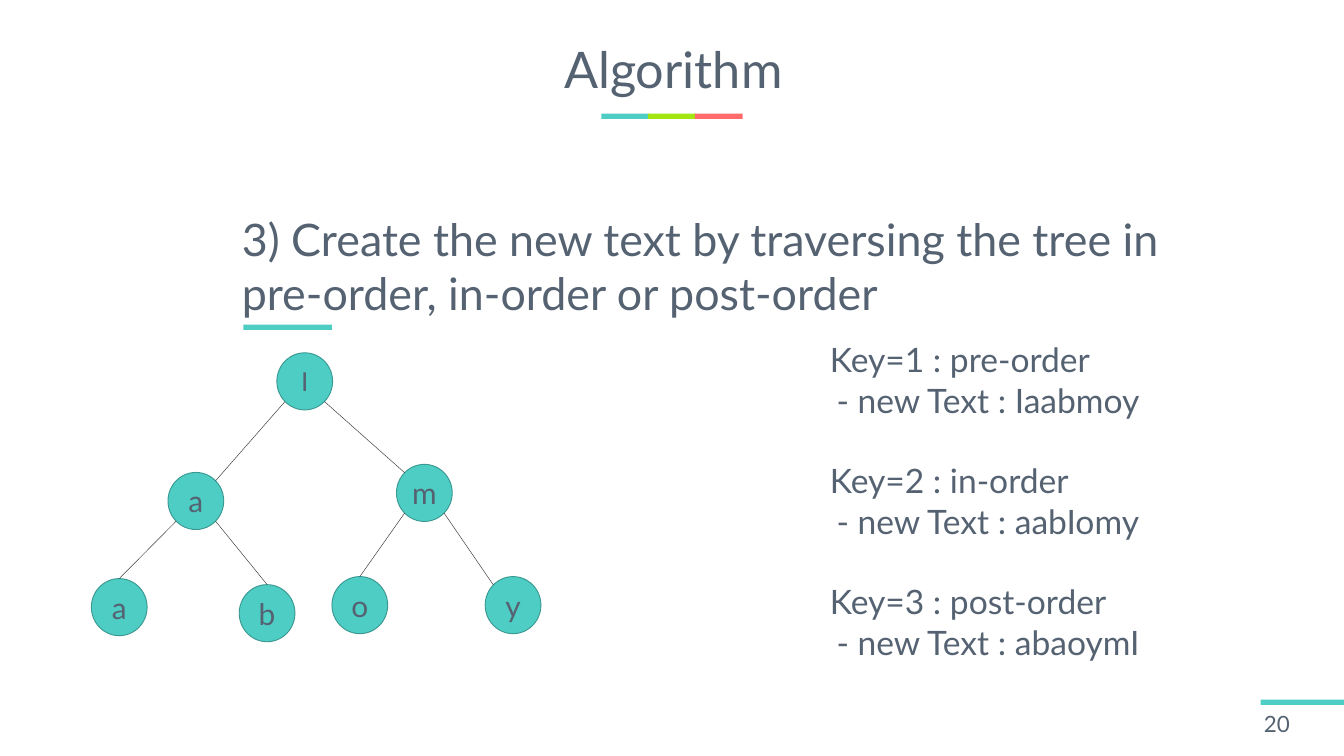
from dataclasses import dataclass
from math import sqrt

from lxml import etree
from pptx import Presentation
from pptx import util as u
from pptx.dml.color import RGBColor
from pptx.enum import shapes, text
from pptx.oxml.ns import qn

TEAL, INK = "4ECDC4", "556272"
WIDE, HIGH = 0.83, 0.85
DIAG = sqrt(0.5)


@dataclass(frozen=True)
class Bar:
    left: float
    top: float
    width: float
    fill: str = TEAL


@dataclass(frozen=True)
class Node:
    letter: str
    left: float
    top: float
    size: int = 32

    def point(self, across: float, down: float) -> tuple[float, float]:
        return (self.left + WIDE / 2 * (1 + across),
                self.top + HIGH / 2 * (1 + down))


@dataclass(frozen=True)
class Edge:
    above: Node
    below: Node
    side: int
    across: float = 0


def color(code: str) -> RGBColor:
    return RGBColor.from_string(code)


def style(frame, size: int, align=text.PP_ALIGN.LEFT) -> None:
    for para in frame.paragraphs:
        para.alignment = align
        for run in para.runs:
            run.font.name = "Lato"
            run.font.size = u.Pt(size)
            run.font.color.rgb = color(INK)


def add_text(slide, words: str, box: tuple, size: int,
             anchor=text.MSO_ANCHOR.MIDDLE, align=text.PP_ALIGN.LEFT):
    frame = slide.shapes.add_textbox(*map(u.Inches, box)).text_frame
    frame.word_wrap = True
    frame.vertical_anchor = anchor
    frame.text = words
    style(frame, size, align)
    return frame


def add_bar(slide, bar: Bar) -> None:
    box = map(u.Inches, (bar.left, bar.top, bar.width, 0.08))
    shape = slide.shapes.add_shape(shapes.MSO_SHAPE.RECTANGLE, *box)
    shape.shadow.inherit = False
    shape.fill.solid()
    shape.fill.fore_color.rgb = color(bar.fill)
    shape.line.fill.background()


def add_node(slide, node: Node) -> None:
    box = map(u.Inches, (node.left, node.top, WIDE, HIGH))
    shape = slide.shapes.add_shape(shapes.MSO_SHAPE.OVAL, *box)
    shape.shadow.inherit = False
    shape.fill.solid()
    shape.fill.fore_color.rgb = color(TEAL)
    shape.line.color.rgb = color("3A9891")
    shape.line.width = u.Pt(1)
    frame = shape.text_frame
    frame.word_wrap = False
    frame.vertical_anchor = text.MSO_ANCHOR.MIDDLE
    frame.text = node.letter
    style(frame, node.size, text.PP_ALIGN.CENTER)


def add_edge(slide, edge: Edge) -> None:
    start = edge.above.point(edge.side * DIAG, DIAG)
    end = edge.below.point(edge.across, -sqrt(1 - edge.across ** 2))
    line = slide.shapes.add_connector(
        shapes.MSO_CONNECTOR.STRAIGHT, *map(u.Inches, start + end))
    line.line.color.rgb = color("3B3B3B")
    line.line.width = u.Pt(0.5)
    etree.SubElement(line._element.spPr, qn("a:effectLst"))


def add_keys(slide, orders: list[tuple[str, str]]) -> None:
    words = "\n".join(f"Key={key} : {name}\n- new Text : {result}"
                      for key, (name, result) in enumerate(orders, 1))
    frame = add_text(slide, words, (12.25, 5, 6.39, 5.55), 36,
                     text.MSO_ANCHOR.TOP)
    for para in frame.paragraphs[1::2]:
        para._p.get_or_add_pPr().set("marL", str(u.Inches(0.1)))
    for para in frame.paragraphs[2::2]:
        para.space_before = u.Pt(43.2)


def main() -> None:
    deck = Presentation()
    deck.slide_width, deck.slide_height = u.Inches(20), u.Inches(11.25)
    slide = deck.slides.add_slide(deck.slide_layouts[6])

    bars = [Bar(8.95 + 0.695 * i, 1.69, 0.71, fill)
            for i, fill in enumerate((TEAL, "A3E511", "FF6B6B"))]
    for bar in bars + [Bar(18.76, 10.41, 1.24), Bar(3.62, 4.83, 1.32)]:
        add_bar(slide, bar)

    title = add_text(slide, "Algorithm", (0.54, 0.38, 18.96, 1.4), 54,
                     align=text.PP_ALIGN.CENTER)
    title.paragraphs[0].line_spacing = 0.9
    add_text(slide, "20", (18.71, 10.5, 1.29, 0.53), 24)
    add_text(slide, "3) Create the new text by traversing the tree in "
             "pre-order, in-order or post-order", (3.5, 3.33, 14.6, 1.25), 48)

    root = Node("I", 4.12, 5.25, 28)
    left, right = Node("a", 2.5, 7.03), Node("m", 5.9, 6.91)
    leaves = [Node("a", 1.36, 8.61), Node("b", 3.56, 8.7),
              Node("o", 4.94, 8.58), Node("y", 7.22, 8.58)]
    for node in [root, left, right] + leaves:
        add_node(slide, node)

    edges = [Edge(left, leaves[0], -1), Edge(left, leaves[1], 1),
             Edge(root, left, -1, DIAG), Edge(root, right, 1, -DIAG),
             Edge(right, leaves[2], -1), Edge(right, leaves[3], 1, -DIAG)]
    for edge in edges:
        add_edge(slide, edge)

    add_keys(slide, [("pre-order", "Iaabmoy"), ("in-order", "aabIomy"),
                     ("post-order", "abaoymI")])
    deck.save("out.pptx")


if __name__ == "__main__":
    main()
